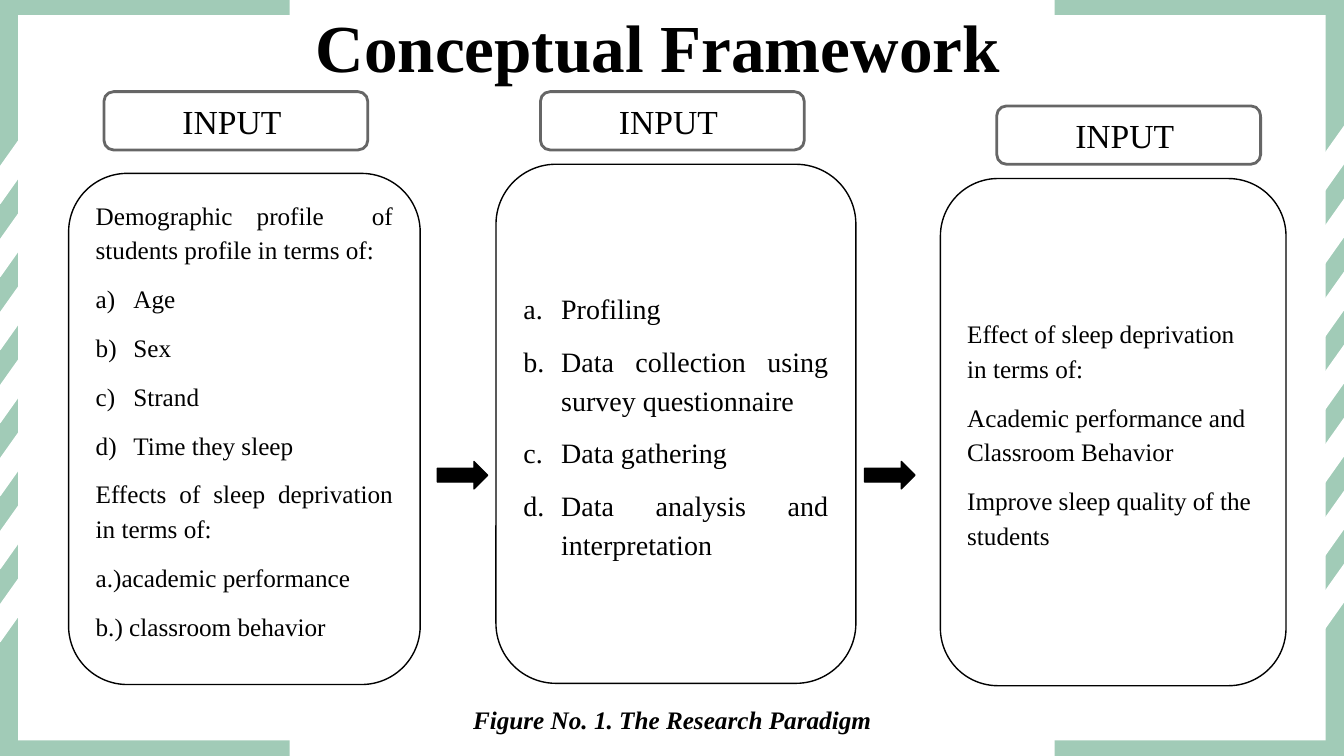
from lxml import etree
from pptx import Presentation
from pptx.dml.color import RGBColor
from pptx.enum import shapes, text
from pptx.oxml.ns import qn
from pptx.util import Cm, Pt

GREEN = RGBColor(0xA1, 0xCB, 0xB7)
WHITE = RGBColor(0xFF, 0xFF, 0xFF)
GRAY = RGBColor(0x66, 0x66, 0x66)
BLACK = RGBColor(0, 0, 0)
FONT = "Times New Roman"
KIND = shapes.MSO_SHAPE
ALIGN = text.PP_ALIGN
ANCHOR = text.MSO_ANCHOR
SLIDE_W, SLIDE_H = 33.87, 19.05


def add_block(slide, kind, box, fill, line=None, line_pt=1):
    """Add a flat preset shape in a box given in centimetres."""
    block = slide.shapes.add_shape(kind, *[Cm(length) for length in box])
    block.shadow.inherit = False
    block.fill.solid()
    block.fill.fore_color.rgb = fill
    if line is None:
        block.line.fill.background()
    else:
        block.line.color.rgb = line
        block.line.width = Pt(line_pt)
    return block


def write(paragraph, words, size, align, bold=False, italic=False):
    """Fill a paragraph and format its runs."""
    paragraph.text = words
    paragraph.alignment = align
    for run in paragraph.runs:
        run.font.name = FONT
        run.font.size = Pt(size)
        run.font.bold = bold
        run.font.italic = italic
        run.font.color.rgb = BLACK


def number(paragraph, scheme):
    """Give a paragraph automatic lettering with a hanging indent."""
    properties = paragraph._p.get_or_add_pPr()
    properties.set("marL", str(Cm(0.95)))
    properties.set("indent", str(-Cm(0.95)))
    etree.SubElement(properties, qn("a:buFont")).set("typeface", FONT)
    etree.SubElement(properties, qn("a:buAutoNum")).set("type", scheme)


def add_frame(slide, box):
    """Draw the green border with slanted cuts on both sides."""
    left, top, width, height = box
    add_block(slide, KIND.RECTANGLE, box, GREEN)
    add_block(slide, KIND.RECTANGLE, (left + 7.3, top, width - 14.59, height), WHITE)
    add_block(slide, KIND.RECTANGLE,
              (left + 0.46, top + 0.38, width - 0.92, height - 0.77), WHITE)
    for cut_left in (left - 0.61, left + width - 1.33):
        for row in range(7):
            cut = add_block(slide, KIND.PARALLELOGRAM,
                            (cut_left, top + 3.78 + row * 1.84, 1.96, 0.74), WHITE, WHITE)
            cut.adjustments[0] = 1.41
            cut.rotation = 270
            cut._element.spPr.find(qn("a:xfrm")).set("flipH", "1")


def add_title(slide, box, words):
    """Place the title placeholder in front of the frame."""
    title = slide.shapes.title
    slide.shapes._spTree.append(title._element)
    title.left, title.top, title.width, title.height = [Cm(length) for length in box]
    title.text_frame.auto_size = text.MSO_AUTO_SIZE.NONE
    title.text_frame.vertical_anchor = ANCHOR.MIDDLE
    write(title.text_frame.paragraphs[0], words, 48, ALIGN.LEFT, bold=True)


def add_column(slide, box, heading_shift, heading_rise, items, size, align, anchor):
    """Draw a heading box and, below it, a rounded card with its items."""
    left, top = box[:2]
    heading = add_block(slide, KIND.ROUNDED_RECTANGLE,
                        (left + heading_shift, top - heading_rise, 6.65, 1.47), WHITE, GRAY, 2)
    heading.text_frame.vertical_anchor = ANCHOR.MIDDLE
    write(heading.text_frame.paragraphs[0], "INPUT ", 24, ALIGN.CENTER)

    card = add_block(slide, KIND.FLOWCHART_ALTERNATE_PROCESS, box, WHITE, BLACK)
    frame = card.text_frame
    frame.word_wrap = True
    frame.vertical_anchor = anchor
    for index, (words, scheme) in enumerate(items):
        item = frame.add_paragraph() if index else frame.paragraphs[0]
        write(item, words, size, align)
        item.line_spacing = 1.15
        item.space_after = Pt(10)
        if scheme:
            number(item, scheme)


def add_caption(slide, box, words):
    """Write the figure caption."""
    caption = slide.shapes.add_textbox(*[Cm(length) for length in box])
    caption.text_frame.word_wrap = True
    write(caption.text_frame.paragraphs[0], words, 18, ALIGN.CENTER, bold=True, italic=True)


def main():
    """Build the conceptual framework slide."""
    deck = Presentation()
    deck.slide_width, deck.slide_height = Cm(SLIDE_W), Cm(SLIDE_H)
    slide = deck.slides.add_slide(deck.slide_layouts[5])
    add_frame(slide, (0, 0, SLIDE_W, SLIDE_H))
    add_title(slide, (7.7, 0, 18.49, 2.31), "Conceptual Framework")

    profile = [("Demographic profile  of students profile in terms of:", None)]
    profile += [(trait, "alphaLcParenR") for trait in ("Age", "Sex", "Strand", "Time they sleep")]
    profile += [(effect, None) for effect in (
        "Effects of sleep deprivation in terms of:",
        "a.)academic performance", "b.) classroom behavior")]
    process = [(step, "alphaLcPeriod") for step in (
        "Profiling", "Data collection using survey questionnaire",
        "Data gathering", "Data analysis and interpretation")]
    outcome = [(result, None) for result in (
        "Effect of sleep deprivation in terms of:",
        "Academic performance and Classroom Behavior",
        "Improve sleep quality of the students")]

    add_column(slide, (1.73, 4.37, 8.86, 12.88), 0.89, 2.06, profile, 18,
               ALIGN.JUSTIFY, ANCHOR.TOP)
    add_column(slide, (12.5, 4.14, 9.07, 13.08), 1.12, 1.83, process, 20,
               ALIGN.JUSTIFY, ANCHOR.MIDDLE)
    add_column(slide, (23.7, 4.5, 8.71, 12.78), 1.42, 1.83, outcome, 18,
               ALIGN.LEFT, ANCHOR.MIDDLE)
    for arrow_left in (11.02, 21.79):
        add_block(slide, KIND.RIGHT_ARROW, (arrow_left, 11.63, 1.27, 0.69), BLACK, BLACK)
    add_caption(slide, (9.88, 17.63, 14.12, 1.04), "Figure No. 1. The Research Paradigm")
    deck.save("out.pptx")


if __name__ == "__main__":
    main()
